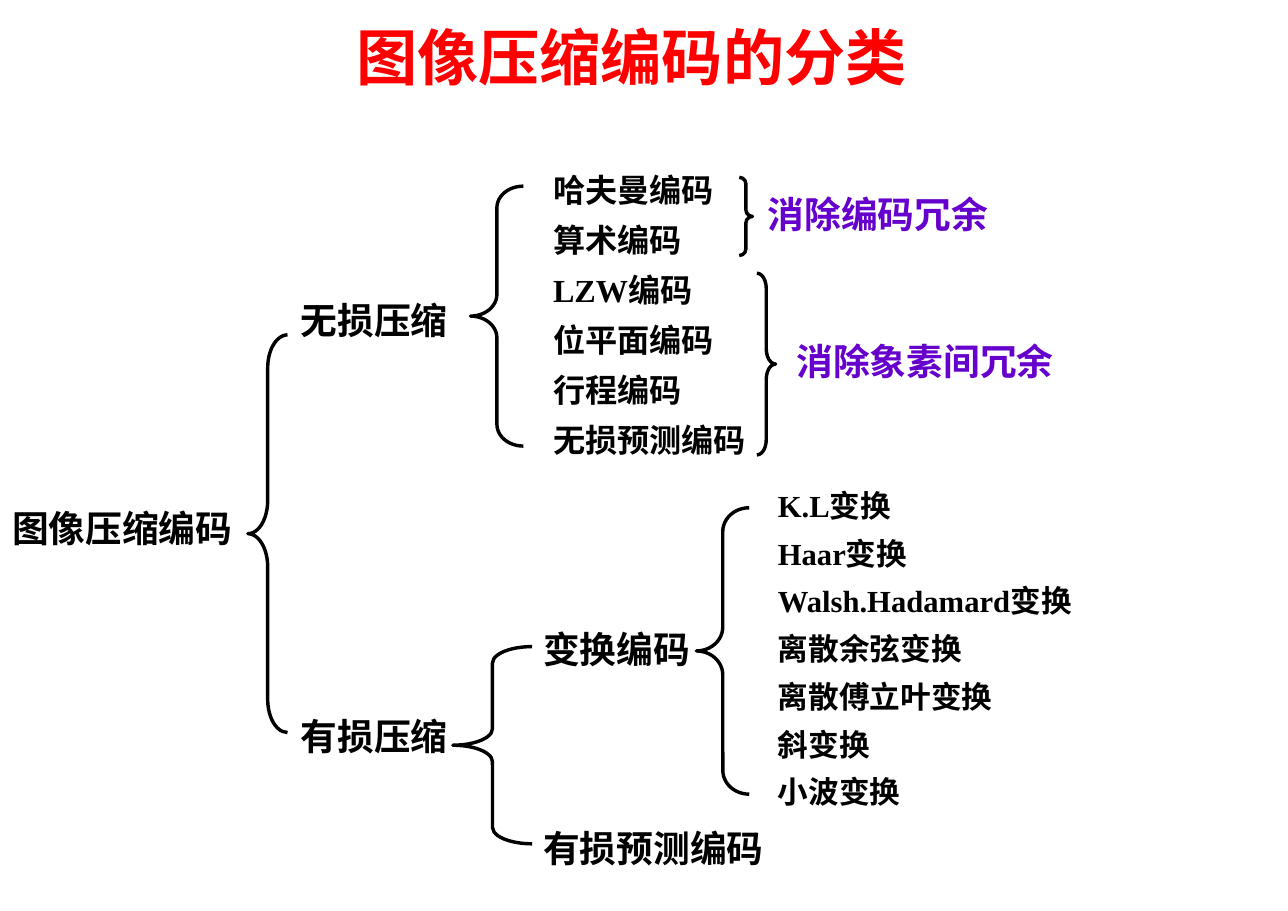
import pptx
import pptx.dml.color
import pptx.enum.shapes
import pptx.enum.text
import pptx.util

Inches = pptx.util.Inches
Align = pptx.enum.text.PP_ALIGN
Anchor = pptx.enum.text.MSO_ANCHOR
Preset = pptx.enum.shapes.MSO_SHAPE

BLACK, RED, PURPLE = "000000", "FF0000", "6600CC"
SERIF, SANS = "Times New Roman", "Arial"

# Brace boxes: left, top, width, height
LEFT_BRACES = [
    (2.25, 3.04, 0.36, 3.61),  # all coding -> lossless, lossy
    (4.27, 1.69, 0.48, 2.36),  # lossless -> its methods
    (4.11, 5.87, 0.72, 1.79),  # lossy -> transform, predictive
    (6.32, 4.61, 0.48, 2.6),   # transform -> its methods
]
RIGHT_BRACES = [
    (6.71, 1.61, 0.12, 0.71),  # coding redundancy
    (6.87, 2.48, 0.17, 1.65),  # inter-pixel redundancy
]

# Category labels: text and box
CATEGORIES = [
    ("图像压缩编码", (0, 4.53, 2.33, 0.41)),
    ("无损压缩", (2.62, 2.64, 1.84, 0.41)),
    ("有损压缩", (2.62, 6.42, 1.9, 0.41)),
    ("变换编码", (4.82, 5.63, 1.64, 0.41)),
    ("有损预测编码", (4.82, 7.44, 2.3, 0.43)),
]
REDUNDANCIES = [
    ("消除编码冗余", (6.87, 1.69, 2.68, 0.5)),
    ("消除象素间冗余", (7.13, 3.03, 2.58, 0.5)),
]
LOSSLESS_METHODS = ["哈夫曼编码", "算术编码", "LZW编码", "位平面编码", "行程编码", "无损预测编码"]
TRANSFORMS = ["K.L变换", "Haar变换", "Walsh.Hadamard变换", "离散余弦变换",
              "离散傅立叶变换", "斜变换", "小波变换"]


def color(hex_value):
    return pptx.dml.color.RGBColor.from_string(hex_value)


def add_text(slide, lines, box, size=24, font=SERIF, fill=BLACK, align=Align.JUSTIFY,
             anchor=Anchor.TOP, spacing=1.0, inset=(0.11, 0.06)):
    """Add a bold text box with one paragraph for each line."""
    frame = slide.shapes.add_textbox(*map(Inches, box)).text_frame
    frame.word_wrap = True
    frame.vertical_anchor = anchor
    frame.margin_left = frame.margin_right = Inches(inset[0])
    frame.margin_top = frame.margin_bottom = Inches(inset[1])
    frame.text = "\n".join(lines)
    for paragraph in frame.paragraphs:
        paragraph.alignment = align
        paragraph.line_spacing = spacing
        for run in paragraph.runs:
            run.font.name = font
            run.font.size = pptx.util.Pt(size)
            run.font.bold = True
            run.font.color.rgb = color(fill)


def add_brace(slide, preset, box):
    """Add a brace whose curves are each a twelfth of its height."""
    brace = slide.shapes.add_shape(preset, *map(Inches, box))
    width, height = box[2:]
    brace.adjustments[0] = height / 12 / min(width, height)
    brace.adjustments[1] = 0.5
    brace.shadow.inherit = False
    brace.fill.background()
    brace.line.color.rgb = color(BLACK)
    brace.line.width = pptx.util.Pt(2.24)


def main():
    deck = pptx.Presentation()
    deck.slide_width, deck.slide_height = Inches(11.69), Inches(8.27)
    slide = deck.slides.add_slide(deck.slide_layouts[6])

    # Title
    add_text(slide, ["图像压缩编码的分类"], (0.27, 0, 10.92, 1.02), size=40, font=SANS,
             fill=RED, align=Align.CENTER, anchor=Anchor.MIDDLE, inset=(0.1, 0.05))

    # Braces of the tree
    for box in LEFT_BRACES:
        add_brace(slide, Preset.LEFT_BRACE, box)
    for box in RIGHT_BRACES:
        add_brace(slide, Preset.RIGHT_BRACE, box)

    # Categories and the redundancies they remove
    for label, box in CATEGORIES:
        add_text(slide, [label], box)
    for label, box in REDUNDANCIES:
        add_text(slide, [label], box, font=SANS, fill=PURPLE, align=Align.LEFT,
                 inset=(0.1, 0.05))

    # Lists of methods
    add_text(slide, LOSSLESS_METHODS, (4.91, 1.38, 2.28, 2.99), size=21, spacing=1.3)
    add_text(slide, TRANSFORMS, (6.95, 4.26, 2.98, 3.26), size=20, spacing=1.3)

    deck.save("out.pptx")


main()
